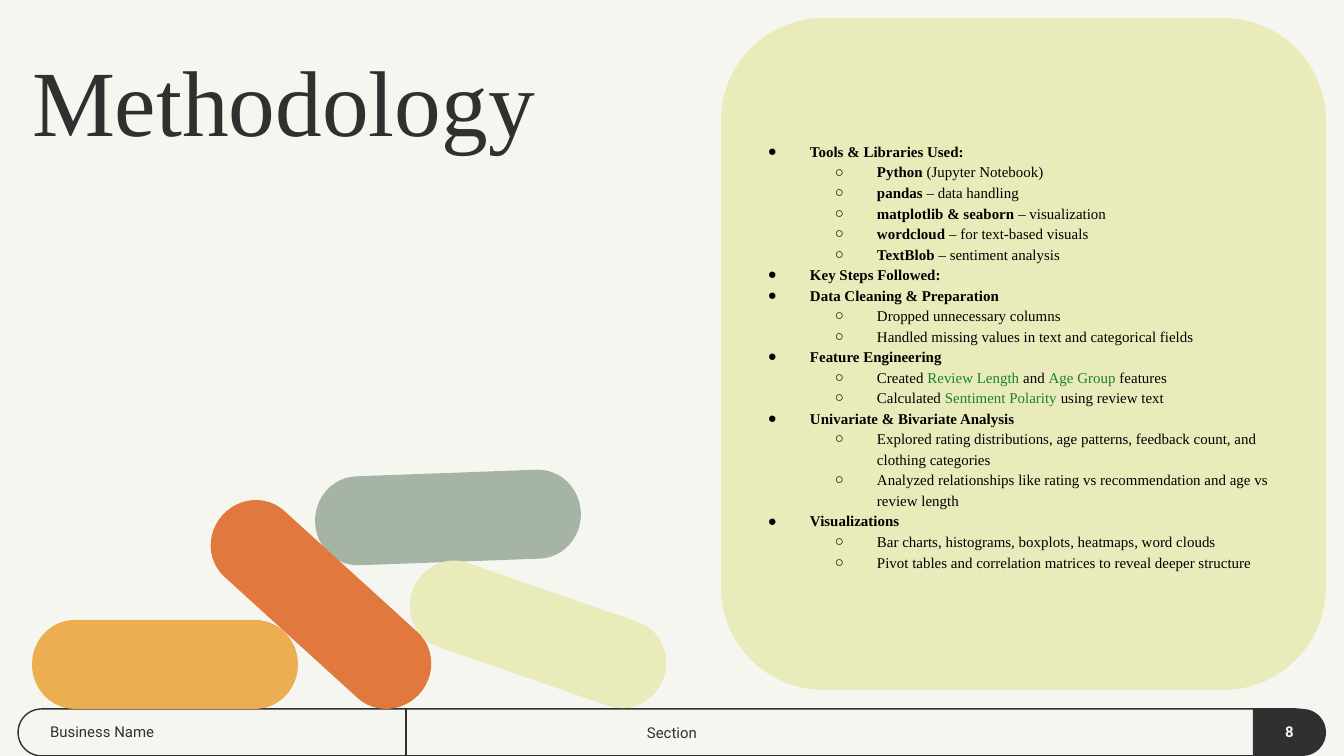
from lxml.etree import SubElement
from pptx import Presentation
from pptx.dml.color import RGBColor
from pptx.enum.shapes import MSO_CONNECTOR as Connector, MSO_SHAPE as Shape
from pptx.enum.text import MSO_ANCHOR as Anchor, MSO_AUTO_SIZE as AutoSize, PP_ALIGN as Align
from pptx.oxml.ns import qn
from pptx.util import Pt

SCALE = 9144000 / 1344
INSET = 13
SERIF = "Times New Roman"
SANS = "Roboto"
COLORS = {
    "paper": "F6F6F1",
    "ink": "303030",
    "black": "000000",
    "lime": "EAEBBA",
    "sage": "A5B4A5",
    "amber": "EDAD51",
    "orange": "E1783D",
    "code": "188038",
}
CAPSULES = [
    (315, 473, -2.1, "sage"),
    (405, 590, 19.1, "lime"),
    (32, 620, 0, "amber"),
    (188, 560, 42.3, "orange"),
]
METHODS = [
    (0, [("Tools & Libraries Used:", "bold")]),
    (1, [("Python", "bold"), (" (Jupyter Notebook)", "plain")]),
    (1, [("pandas", "bold"), (" – data handling", "plain")]),
    (1, [("matplotlib & seaborn", "bold"), (" – visualization", "plain")]),
    (1, [("wordcloud", "bold"), (" – for text-based visuals", "plain")]),
    (1, [("TextBlob", "bold"), (" – sentiment analysis", "plain")]),
    (0, [("Key Steps Followed:", "bold")]),
    (0, [("Data Cleaning & Preparation", "bold")]),
    (1, [("Dropped unnecessary columns", "plain")]),
    (1, [("Handled missing values in text and categorical fields", "plain")]),
    (0, [("Feature Engineering", "bold")]),
    (1, [("Created ", "plain"), ("Review Length", "code"), (" and ", "plain"),
         ("Age Group", "code"), (" features", "plain")]),
    (1, [("Calculated ", "plain"), ("Sentiment Polarity", "code"),
         (" using review text", "plain")]),
    (0, [("Univariate & Bivariate Analysis", "bold")]),
    (1, [("Explored rating distributions, age patterns, feedback count, "
          "and clothing categories", "plain")]),
    (1, [("Analyzed relationships like rating vs recommendation "
          "and age vs review length", "plain")]),
    (0, [("Visualizations", "bold")]),
    (1, [("Bar charts, histograms, boxplots, heatmaps, word clouds", "plain")]),
    (1, [("Pivot tables and correlation matrices to reveal deeper structure", "plain")]),
]


def px(value):
    return round(value * SCALE)


def color(name):
    return RGBColor.from_string(COLORS[name])


def add_block(page, kind, frame, fill=None, line=None, turn=0, corners=()):
    block = page.shapes.add_shape(kind, *map(px, frame))
    block.shadow.inherit = False
    block.rotation = turn
    for index, corner in enumerate(corners):
        block.adjustments[index] = corner
    if fill:
        block.fill.solid()
        block.fill.fore_color.rgb = color(fill)
    else:
        block.fill.background()
    if line:
        block.line.color.rgb = color(line)
        block.line.width = Pt(0.75)
    else:
        block.line.fill.background()


def add_divider(page, x, top, bottom):
    divider = page.shapes.add_connector(
        Connector.STRAIGHT, px(x), px(top), px(x), px(bottom))
    divider.line.color.rgb = color("ink")
    divider.line.width = Pt(0.75)
    SubElement(divider.element.spPr, qn("a:effectLst"))


def set_frame(box, frame, anchor):
    box.left, box.top, box.width, box.height = map(px, frame)
    text = box.text_frame
    text.word_wrap = True
    text.auto_size = AutoSize.NONE
    text.vertical_anchor = anchor
    text.margin_left = text.margin_right = px(INSET)
    text.margin_top = text.margin_bottom = px(INSET)
    return text


def add_span(para, words, size, face, tint, bold=False):
    span = para.add_run()
    span.text = words
    span.font.size = Pt(size)
    span.font.name = face
    span.font.bold = bold
    span.font.color.rgb = color(tint)


def add_label(page, words, frame, align, tint="ink", bold=False):
    box = page.shapes.add_textbox(0, 0, 0, 0)
    para = set_frame(box, frame, Anchor.MIDDLE).paragraphs[0]
    para.alignment = align
    add_span(para, words, 8, SANS, tint, bold)


def set_bullet(para, level):
    para.level = level
    props = para._p.get_or_add_pPr()
    props.set("marL", str(px(67 * (level + 1))))
    props.set("indent", str(px(-42)))
    tint = SubElement(props, qn("a:buClr"))
    SubElement(tint, qn("a:srgbClr"), val=COLORS["black"])
    SubElement(props, qn("a:buFont"), typeface=SERIF)
    SubElement(props, qn("a:buChar"), char="●○"[level])


def fill_title(page):
    title = page.shapes.title
    page.shapes.element.append(title.element)
    para = set_frame(title, (19, 19, 673, 434), Anchor.TOP).paragraphs[0]
    para.alignment = Align.LEFT
    para.line_spacing = 1.1
    add_span(para, "Methodology", 50, SERIF, "ink")


def fill_methods(page):
    body = page.placeholders[1]
    page.shapes.element.append(body.element)
    text = set_frame(body, (730, 59, 589, 593), Anchor.MIDDLE)
    for index, (level, spans) in enumerate(METHODS):
        para = text.add_paragraph() if index else text.paragraphs[0]
        set_bullet(para, level)
        para.line_spacing = 1.15
        para.space_before = Pt(0)
        for words, style in spans:
            tint = "code" if style == "code" else "black"
            add_span(para, words, 8, SERIF, tint, style == "bold")


def main():
    deck = Presentation()
    deck.slide_width, deck.slide_height = px(1344), px(756)
    page = deck.slides.add_slide(deck.slide_layouts[1])
    page.background.fill.solid()
    page.background.fill.fore_color.rgb = color("paper")

    add_block(page, Shape.ROUND_2_SAME_RECTANGLE, (645, 82, 47, 1301),
              line="ink", turn=90, corners=(0.5, 0.5))
    add_block(page, Shape.ROUNDED_RECTANGLE, (721, 18, 605, 672),
              fill="lime", corners=(0.17,))
    add_divider(page, 406, 709, 756)
    add_block(page, Shape.ROUND_2_SAME_RECTANGLE, (1266, 696, 47, 73),
              fill="ink", turn=90, corners=(0.5, 0))

    fill_methods(page)
    fill_title(page)
    for left, top, turn, fill in CAPSULES:
        add_block(page, Shape.FLOWCHART_TERMINATOR, (left, top, 266, 89),
                  fill=fill, turn=turn)

    add_label(page, "Business Name", (37, 709, 324, 46), Align.LEFT)
    add_label(page, "Section", (521, 710, 302, 46), Align.CENTER)
    add_label(page, "8", (1253, 709, 73, 46), Align.CENTER, "paper", True)
    deck.save("out.pptx")


if __name__ == "__main__":
    main()
